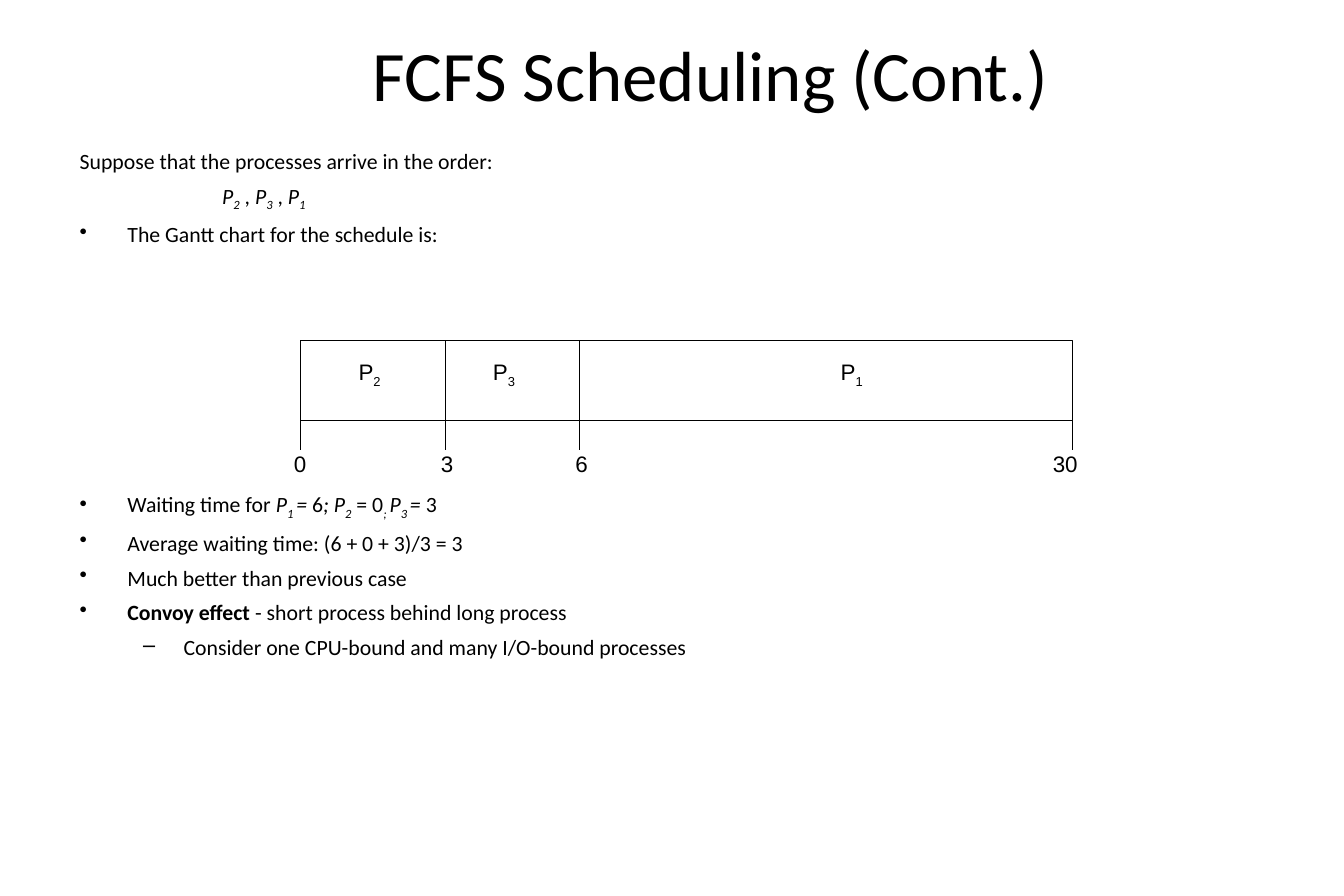
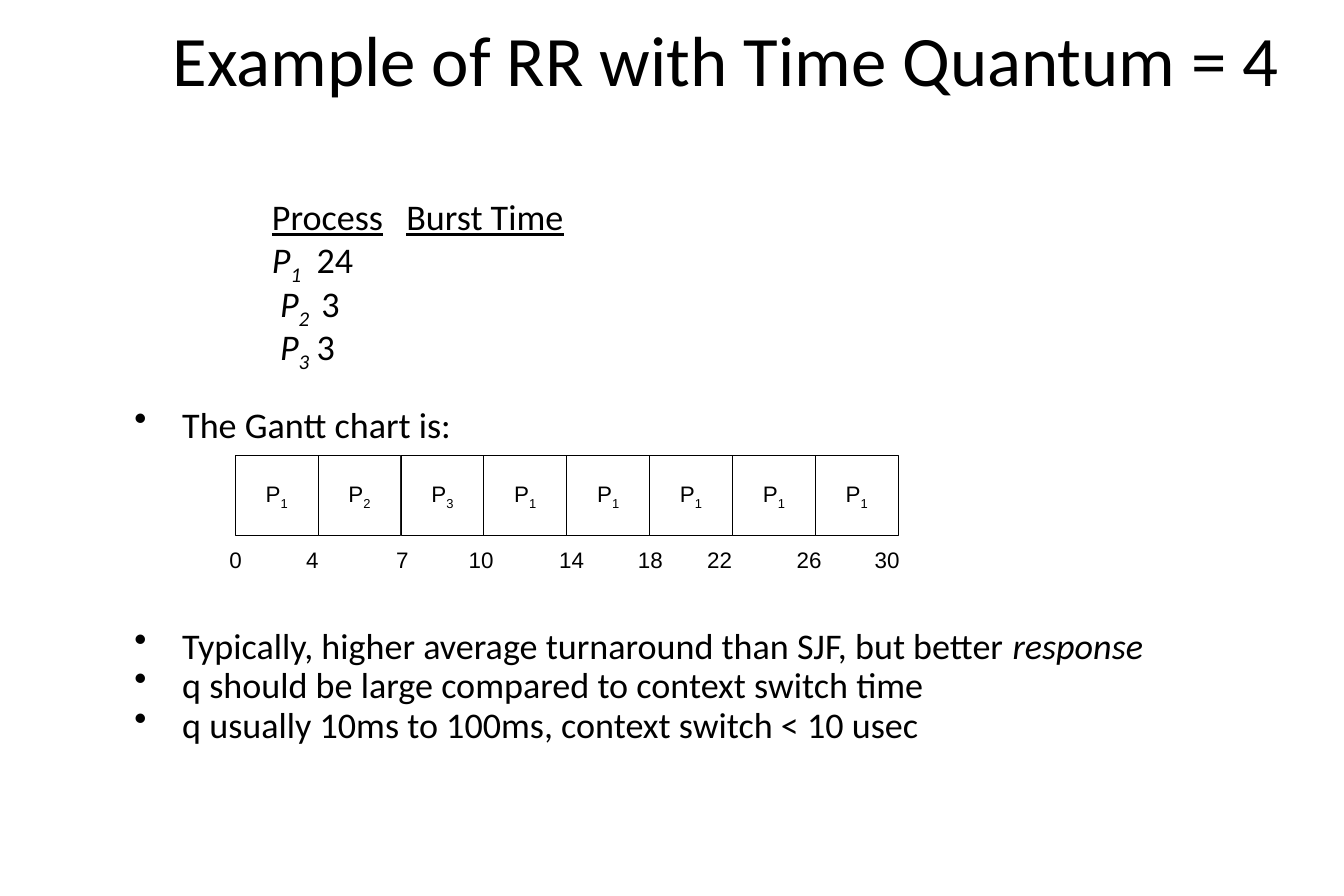
from dataclasses import dataclass
from typing import NamedTuple

from lxml.etree import SubElement
from pptx import Presentation
from pptx.dml.color import RGBColor
from pptx.enum.shapes import MSO_CONNECTOR as CONN, MSO_SHAPE as SHAPE
from pptx.enum.text import MSO_ANCHOR as ANCHOR, PP_ALIGN as ALIGN
from pptx.oxml.ns import qn
from pptx.util import Pt

BLACK, WHITE = "000000", "FFFFFF"
BODY_FONT, LABEL_FONT = "Calibri", "Arial"
HAIRLINE = 0.75
BAR_H = 64
TIME_H = 28.8
BODY_INSETS = (10, 5)
LABEL_INSETS = (7.2, 3.6)


class Run(NamedTuple):
    text: str
    italic: bool = False
    bold: bool = False
    underline: bool = False
    sub: bool = False


class Box(NamedTuple):
    left: float
    top: float
    width: float
    height: float


@dataclass
class Para:
    runs: list[Run]
    bullet: str = ""
    margin: float = 0
    hang: float = 0
    before: float = 0
    line: float = 1.0
    tabs: tuple[float, ...] = ()
    align: ALIGN = ALIGN.LEFT


def rgb(value: str) -> RGBColor:
    return RGBColor.from_string(value)


def process(number: int, italic: bool = True) -> list[Run]:
    return [Run("P", italic), Run(str(number), italic, sub=True)]


def set_all(obj, values: dict) -> None:
    for name, value in values.items():
        setattr(obj, name, value)


def fill_text(tf, paras: list[Para], size: float, font: str,
              insets: tuple[float, float], anchor=ANCHOR.MIDDLE, wrap: bool = True) -> None:
    x, y = insets
    set_all(tf, {"word_wrap": wrap, "vertical_anchor": anchor,
                 "margin_left": Pt(x), "margin_right": Pt(x),
                 "margin_top": Pt(y), "margin_bottom": Pt(y)})
    for n, para in enumerate(paras):
        p = tf.add_paragraph() if n else tf.paragraphs[0]
        pPr = p._p.get_or_add_pPr()
        pPr.set("marL", str(Pt(para.margin)))
        pPr.set("indent", str(Pt(-para.hang)))
        if para.bullet:
            clr = SubElement(pPr, qn("a:buClr"))
            SubElement(clr, qn("a:srgbClr"), val=BLACK)
            SubElement(pPr, qn("a:buChar"), char=para.bullet)
        if para.tabs:
            tabs = SubElement(pPr, qn("a:tabLst"))
            for pos in para.tabs:
                SubElement(tabs, qn("a:tab"), pos=str(Pt(pos)), algn="l")
        set_all(p, {"alignment": para.align, "line_spacing": para.line,
                    "space_before": Pt(para.before if n else 0)})
        for run in para.runs:
            r = p.add_run()
            r.text = run.text
            set_all(r.font, {"size": Pt(size), "name": font, "italic": run.italic,
                             "bold": run.bold, "underline": run.underline})
            r.font.color.rgb = rgb(BLACK)
            if run.sub:
                r._r.get_or_add_rPr().set("baseline", "-25000")


def add_text(s, box: Box, paras: list[Para], size: float, font: str = BODY_FONT,
             insets: tuple[float, float] = BODY_INSETS, anchor=ANCHOR.TOP,
             wrap: bool = True) -> None:
    sp = s.shapes.add_textbox(*map(Pt, box))
    fill_text(sp.text_frame, paras, size, font, insets, anchor, wrap)


def add_title(s, box: Box, text: str) -> None:
    add_text(s, box, [Para([Run(text)], align=ALIGN.CENTER)], 57, anchor=ANCHOR.MIDDLE)


def add_label(s, center: float, top: float, height: float, runs: list[Run]) -> None:
    width = 36
    add_text(s, Box(center - width / 2, top, width, height),
             [Para(runs, align=ALIGN.CENTER)], 18, LABEL_FONT, LABEL_INSETS,
             ANCHOR.MIDDLE, False)


def add_times(s, top: float, times: dict[int, float]) -> None:
    for time, center in times.items():
        add_label(s, center, top, TIME_H, [Run(str(time))])


def add_bar(s, box: Box):
    sp = s.shapes.add_shape(SHAPE.RECTANGLE, *map(Pt, box))
    sp.shadow.inherit = False
    sp.fill.solid()
    sp.fill.fore_color.rgb = rgb(WHITE)
    sp.line.color.rgb = rgb(BLACK)
    sp.line.width = Pt(HAIRLINE)
    return sp


def add_rule(s, x: float, top: float, bottom: float) -> None:
    cn = s.shapes.add_connector(CONN.STRAIGHT, Pt(x), Pt(top), Pt(x), Pt(bottom))
    cn.line.color.rgb = rgb(BLACK)
    cn.line.width = Pt(HAIRLINE)
    SubElement(cn._element.spPr, qn("a:effectLst"))


def fcfs_slide(s) -> None:
    add_title(s, Box(116, 28.8, 910, 60.5), "FCFS Scheduling (Cont.)")

    def item(runs: list[Run], before: float = 7) -> Para:
        return Para(runs, "•", 38.4, 38.4, before)

    add_text(s, Box(54, 113.8, 972, 475), [
        Para([Run("Suppose that the processes arrive in the order:")]),
        Para([*process(2), Run(" , "), *process(3), Run(" , "), *process(1)],
             margin=114.5, before=7),
        item([Run("The Gantt chart for the schedule is:")]),
        item([Run("Waiting time for "), Run("P", True), Run("1 ", True, sub=True),
              Run("=", True), Run(" 6"), Run("; ", True), *process(2), Run(" = 0"),
              Run("; ", True, sub=True), Run("P", True), Run("3 ", True, sub=True),
              Run("= ", True), Run("3")], 196),
        item([Run("Average waiting time: (6 + 0 + 3)/3 = 3")]),
        item([Run("Much better than previous case")]),
        item([Run("Convoy effect ", bold=True), Run("- short process behind long process")]),
        Para([Run("Consider one CPU-bound and many I/O-bound processes")],
             "–", 83.5, 32.4, 7),
    ], 17.5)

    edges = (241.2, 357.8, 465.8, 861.8)
    top = 273.6
    bottom = top + BAR_H
    add_bar(s, Box(edges[0], top, edges[-1] - edges[0], BAR_H))
    for x in edges[1:-1]:
        add_rule(s, x, top, bottom)
    for x in edges:
        add_rule(s, x, bottom, bottom + 24)
    for number, center in {2: 297, 3: 405, 1: 684.4}.items():
        add_label(s, center, 284.4, 31.7, process(number, False))
    add_times(s, 357.8, {0: 241.2, 3: 359.3, 6: 467.3, 30: 856})


def round_robin_slide(s) -> None:
    add_title(s, Box(108, 2.2, 951, 88.6), "Example of RR with Time Quantum = 4")

    def row(runs: list[Run]) -> Para:
        return Para(runs, before=7.3, line=0.7, tabs=(72, 144))

    def item(runs: list[Run], before: float = 7.3) -> Para:
        return Para(runs, "•", 38.4, 38.4, before, 0.7)

    add_text(s, Box(208.5, 161, 400, 150), [
        row([Run("Process", underline=True), Run("\t"), Run("Burst Time", underline=True)]),
        row([*process(1), Run("\t24")]),
        row([Run(" "), *process(2), Run("\t"), Run(" ", True, sub=True), Run("3")]),
        row([Run(" "), *process(3), Run("\t3")]),
    ], 29)
    add_text(s, Box(98, 328, 868, 300), [
        item([Run("The Gantt chart is:")]),
        item([Run("Typically, higher average turnaround than SJF, but better "),
              Run("response", True)], 152.8),
        item([Run("q should be large compared to context switch time")]),
        item([Run("q usually 10ms to 100ms, context switch < 10 usec")]),
    ], 29)

    left, top, cell_w = 189, 366.4, 66.6
    for n, number in enumerate((1, 2, 3, 1, 1, 1, 1, 1)):
        sp = add_bar(s, Box(left + n * cell_w, top, cell_w, BAR_H))
        fill_text(sp.text_frame, [Para(process(number, False), align=ALIGN.CENTER)],
                  18, LABEL_FONT, LABEL_INSETS, wrap=False)
    add_times(s, 435.2, {0: 189.4, 4: 251, 7: 323.3, 10: 386.6, 14: 459.4,
                         18: 522.7, 22: 578.2, 26: 650.2, 30: 712.8})


def main() -> None:
    prs = Presentation()
    prs.slide_width, prs.slide_height = Pt(1080), Pt(720)
    for build in (fcfs_slide, round_robin_slide):
        build(prs.slides.add_slide(prs.slide_layouts[6]))
    prs.save("out.pptx")


if __name__ == "__main__":
    main()
